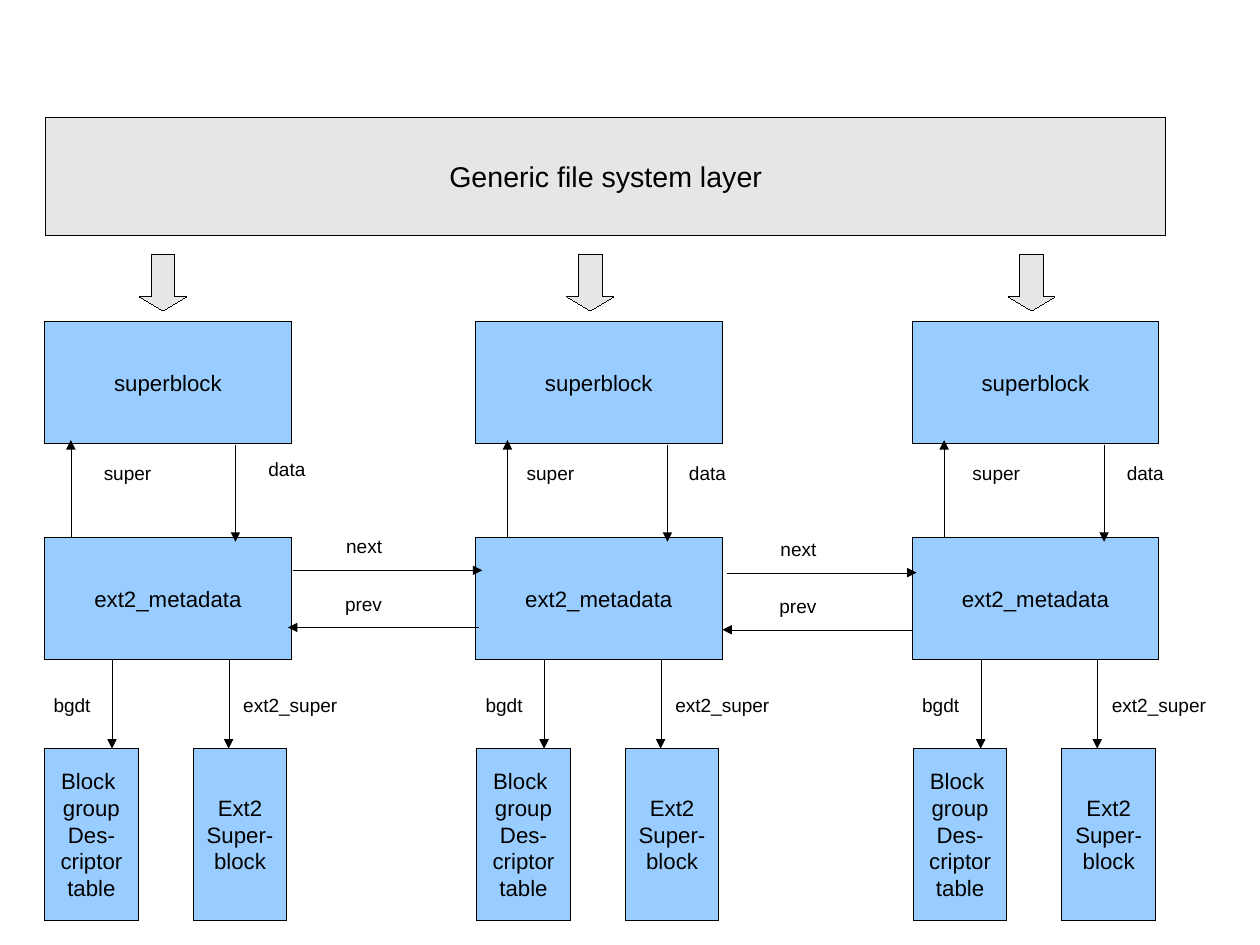
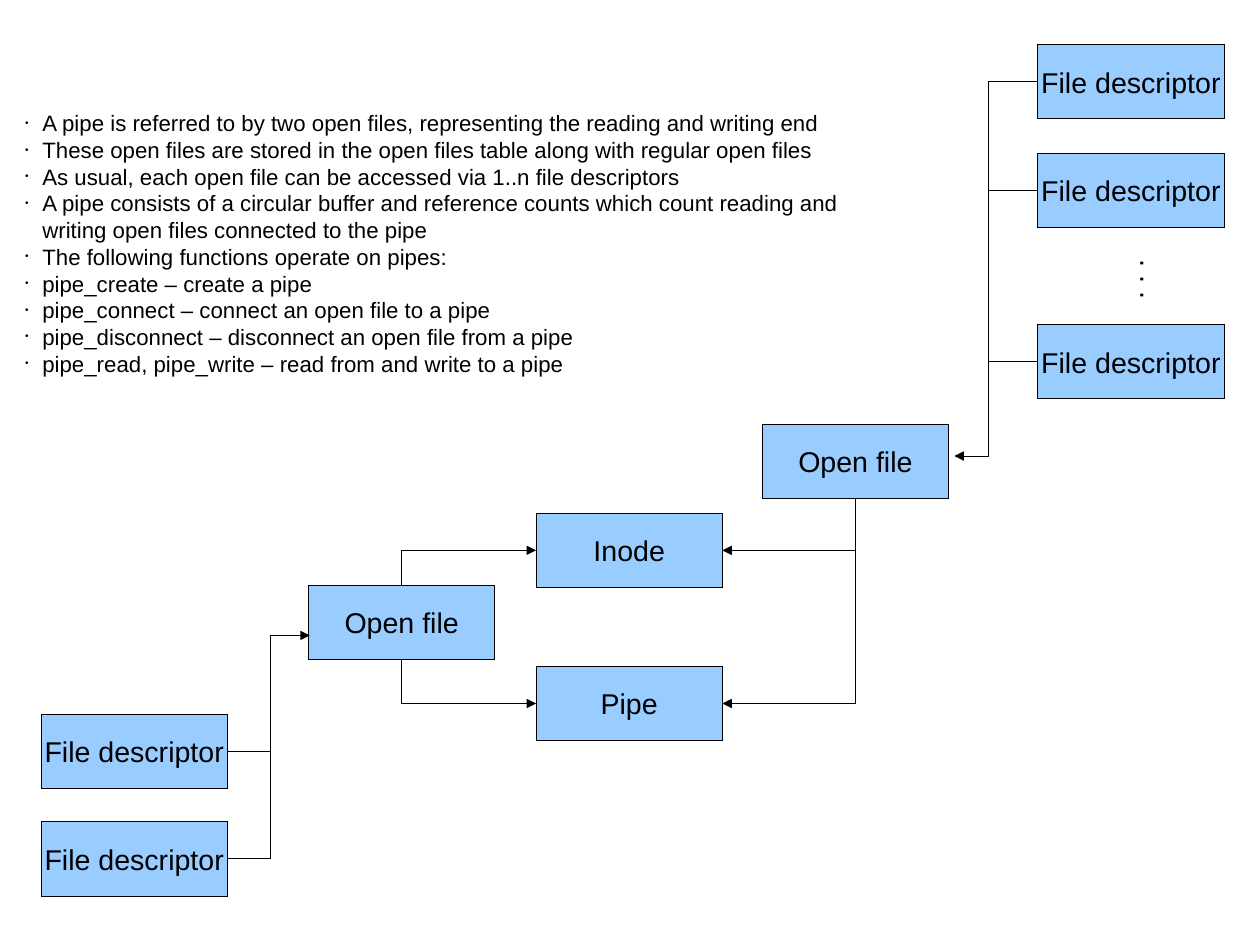
from lxml.etree import SubElement
from pptx import Presentation
from pptx.dml.color import RGBColor
from pptx.enum.shapes import MSO_CONNECTOR as CONN, MSO_SHAPE as SHAPE
from pptx.enum.text import MSO_ANCHOR as ANCHOR, MSO_AUTO_SIZE as FIT, PP_ALIGN as ALIGN
from pptx.oxml.ns import qn
from pptx.util import Cm, Inches, Pt

BLACK, BLUE, GREY = "000000", "99CCFF", "E6E6E6"
FONT = "Arial"
TOP, LEFT, BOTTOM, RIGHT = range(4)

# Slide 1: each column's left edge, the left edge of its children,
# then offsets from the column's left edge
COLUMNS = [
    {"x": 0.39, "child_x": 0.39, "down": 0.83, "super": 0.23, "super_label": 0.42,
     "data": 1.67, "data_label": (1.86, 3.95)},
    {"x": 4.16, "child_x": 4.17, "down": 0.80, "super": 0.28, "super_label": 0.35,
     "data": 1.68, "data_label": (1.77, 3.99)},
    {"x": 7.98, "child_x": 7.99, "down": 0.84, "super": 0.28, "super_label": 0.43,
     "data": 1.68, "data_label": (1.78, 3.99)},
]
BLOCKS = [("superblock", 2.81), ("ext2_metadata", 4.7)]
# text, box offset, arrow offset, label, label offset
CHILDREN = [
    ("Block \ngroup\nDes-\ncriptor\ntable", 0, 0.59, "bgdt", -0.02),
    ("Ext2\nSuper-\nblock", 1.3, 1.61, "ext2_super", 1.64),
]
# label, label left, label top, line start, line end, line y
LINKS = [
    ("next", 2.93, 4.63, 2.56, 4.22, 4.99),
    ("prev", 2.92, 5.13, 4.19, 2.52, 5.49),
]
LINK_STEP = (3.8, 0.02)

# Slide 2
BOX_W, BOX_H = 1.63, 0.65
NODES = {
    "reader descriptors": ("File descriptor", 0.36, [6.25, 7.19]),
    "writer descriptors": ("File descriptor", 9.08, [0.39, 1.34, 2.84]),
    "reader": ("Open file", 2.7, [5.12]),
    "writer": ("Open file", 6.67, [3.71]),
    "inode": ("Inode", 4.69, [4.49]),
    "pipe": ("Pipe", 4.69, [5.83]),
}
NOTES = [
    (0, "A pipe is referred to by two open files, representing the reading and writing end"),
    (0, "These open files are stored in the open files table along with regular open files"),
    (0, "As usual, each open file can be accessed via 1..n file descriptors"),
    (0, "A pipe consists of a circular buffer and reference counts which count reading and "
        "writing open files connected to the pipe"),
    (0, "The following functions operate on pipes:"),
    (1, "pipe_create – create a pipe"),
    (1, "pipe_connect – connect an open file to a pipe"),
    (1, "pipe_disconnect – disconnect an open file from a pipe"),
    (1, "pipe_read, pipe_write – read from and write to a pipe"),
]


def rgb(color):
    return RGBColor.from_string(color)


def style(p, size):
    for r in p.runs:
        r.font.name, r.font.size = FONT, Pt(size)
        r.font.color.rgb = rgb(BLACK)


def set_hairline(sp):
    """Give a zero-width black line, dropping the theme style that would widen it."""
    sp.line.color.rgb = rgb(BLACK)
    sp.line.width = 0
    sp._element.remove(sp._element.find(qn("p:style")))


def add_box(s, x, y, w, h, text="", size=14, fill=BLUE, shape=SHAPE.RECTANGLE):
    sp = s.shapes.add_shape(shape, Inches(x), Inches(y), Inches(w), Inches(h))
    sp.shadow.inherit = False
    sp.fill.solid()
    sp.fill.fore_color.rgb = rgb(fill)
    set_hairline(sp)
    tf = sp.text_frame
    tf.text, tf.word_wrap, tf.vertical_anchor = text, False, ANCHOR.MIDDLE
    for p in tf.paragraphs:
        p.alignment = ALIGN.CENTER
        style(p, size)
    return sp


def add_label(s, x, y, text, w=1.14, h=0.29, size=12):
    sp = s.shapes.add_textbox(Inches(x), Inches(y), Inches(w), Inches(h))
    tf = sp.text_frame
    tf.text, tf.word_wrap, tf.auto_size = text, True, FIT.SHAPE_TO_FIT_TEXT
    style(tf.paragraphs[0], size)
    return sp


def add_line(s, start, end, arrow=False, begin_at=None, end_at=None):
    """Draw a hairline; begin_at and end_at are (shape, side) to join."""
    c = s.shapes.add_connector(CONN.STRAIGHT, *map(Inches, start + end))
    set_hairline(c)
    if arrow:
        SubElement(c.line._get_or_add_ln(), qn("a:tailEnd"), type="triangle")
    SubElement(c._element.spPr, qn("a:effectLst"))
    if begin_at:
        c.begin_connect(*begin_at)
    if end_at:
        c.end_connect(*end_at)


def side(sp, site):
    """Middle of one side of a box, in inches."""
    x, y = sp.left.inches, sp.top.inches
    w, h = sp.width.inches, sp.height.inches
    return {TOP: (x + w / 2, y), LEFT: (x, y + h / 2),
            BOTTOM: (x + w / 2, y + h), RIGHT: (x + w, y + h / 2)}[site]


def build_file_system(prs):
    s = prs.slides.add_slide(prs.slide_layouts[6])
    add_box(s, 0.4, 1.03, 9.8, 1.03, "Generic file system layer", 18, GREY)
    for col in COLUMNS:
        x, child_x = col["x"], col["child_x"]
        down = add_box(s, x + col["down"], 2.23, 0.41, 0.49, fill=GREY, shape=SHAPE.DOWN_ARROW)
        down.adjustments[1] = 0.3
        for text, y in BLOCKS:
            add_box(s, x, y, 2.16, 1.07, text)
        add_line(s, (x + col["super"], 4.7), (x + col["super"], 3.85), True)
        add_line(s, (x + col["data"], 3.89), (x + col["data"], 4.74), True)
        add_label(s, x + col["super_label"], 3.99, "super")
        dx, y = col["data_label"]
        add_label(s, x + dx, y, "data")
        for text, box_dx, line_dx, label, label_dx in CHILDREN:
            add_box(s, child_x + box_dx, 6.55, 0.82, 1.5, text)
            line_x = child_x + line_dx
            add_line(s, (line_x, 5.77), (line_x, 6.55), True)
            add_label(s, child_x + label_dx, 6.02, label)
    for i in range(len(COLUMNS) - 1):
        dx, dy = (i * step for step in LINK_STEP)
        for text, label_x, label_y, x1, x2, y in LINKS:
            add_line(s, (x1 + dx, y + dy), (x2 + dx, y + dy), True)
            add_label(s, label_x + dx, label_y + dy, text, 0.99)


def fill_notes(body):
    body.left, body.top, body.width, body.height = map(Inches, (0.12, 0.91, 7.92, 2.5))
    tf = body.text_frame
    tf.text = "\n".join(text for _, text in NOTES)
    tf.word_wrap, tf.auto_size, tf.vertical_anchor = True, FIT.NONE, ANCHOR.TOP
    for p, (level, _) in zip(tf.paragraphs, NOTES):
        p.level, p.space_before, p.alignment = level, Pt(0), ALIGN.LEFT
        pPr = p._p.get_or_add_pPr()
        pPr.set("marL", str(Inches(0.15)))
        pPr.set("indent", str(-Inches(0.15)))
        SubElement(SubElement(pPr, qn("a:buClr")), qn("a:srgbClr"), val=BLACK)
        SubElement(pPr, qn("a:buSzPct"), val="45000")
        SubElement(pPr, qn("a:buFont"), typeface=FONT)
        SubElement(pPr, qn("a:buChar"), char="•")
        style(p, 14)


def add_spine(s, descriptors, site, x, end_y, tip):
    """Join descriptors to one vertical line, which points at an open file."""
    joints = [(x, side(d, site)[1]) for d in descriptors]
    for d, joint in zip(descriptors, joints):
        add_line(s, side(d, site), joint, begin_at=(d, site))
    far = max(joints, key=lambda joint: abs(joint[1] - end_y))
    add_line(s, far, (x, end_y))
    add_line(s, (x, end_y), tip, True)


def build_pipes(prs):
    s = prs.slides.add_slide(prs.slide_layouts[1])
    title = s.shapes.title._element
    title.getparent().remove(title)
    fill_notes(s.placeholders[1])

    nodes = {name: [add_box(s, x, y, BOX_W, BOX_H, text, 18) for y in tops]
             for name, (text, x, tops) in NODES.items()}
    add_label(s, 9.34, 1.97, ". . .", 1.11, 0.38, 18).rotation = 270
    add_spine(s, nodes["reader descriptors"], RIGHT, 2.37, 5.56, (2.71, 5.56))
    add_spine(s, nodes["writer descriptors"], LEFT, 8.65, 3.99, (8.35, 3.99))

    (reader,), (writer,), (inode,), (pipe,) = (
        nodes[name] for name in ("reader", "writer", "inode", "pipe"))
    # open file, side it leaves from, target, side it enters
    for source, out, target, into in [
        (reader, TOP, inode, LEFT), (reader, BOTTOM, pipe, LEFT),
        (writer, BOTTOM, inode, RIGHT), (writer, BOTTOM, pipe, RIGHT),
    ]:
        start, end = side(source, out), side(target, into)
        corner = (start[0], end[1])
        add_line(s, start, corner, begin_at=(source, out))
        add_line(s, corner, end, True, end_at=(target, into))


def main():
    prs = Presentation()
    prs.slide_width, prs.slide_height = Cm(28), Cm(21)
    build_file_system(prs)
    build_pipes(prs)
    prs.save("out.pptx")


if __name__ == "__main__":
    main()
